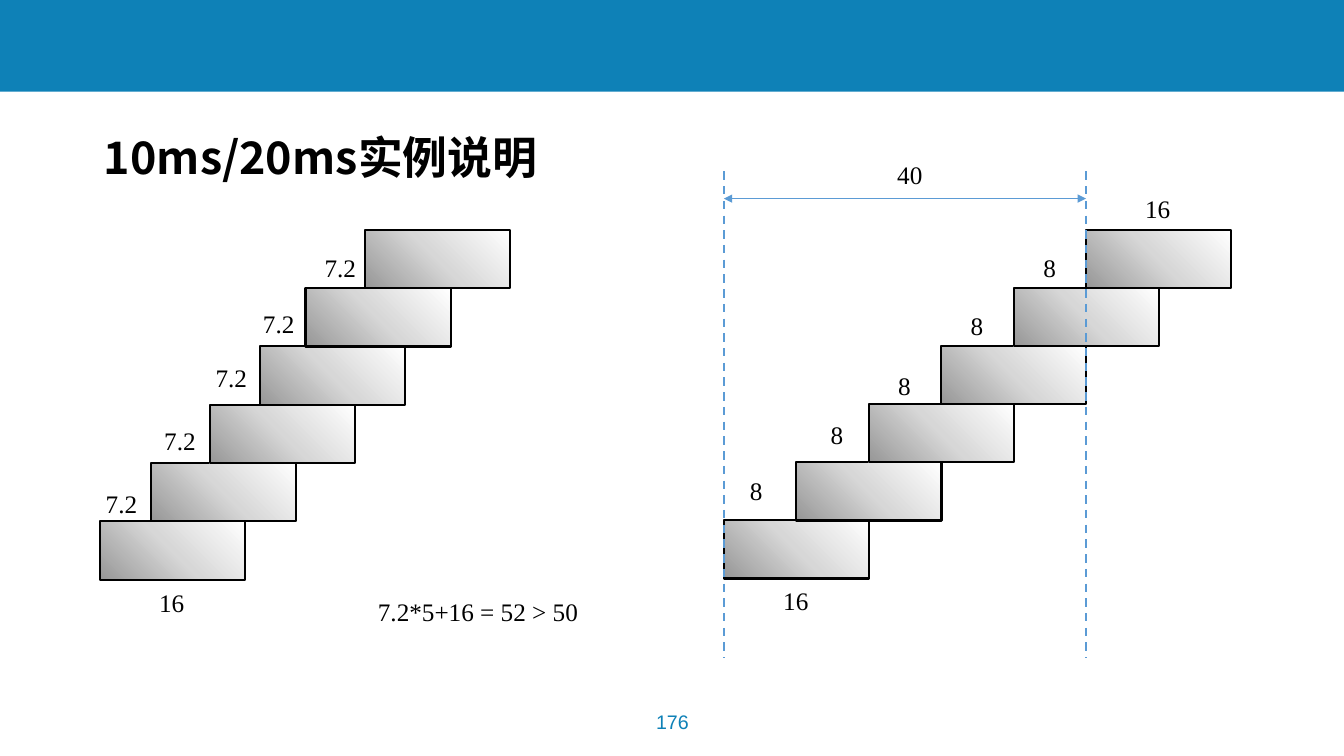
"""Draw two staircases of timing blocks; lengths are percent shares of the slide."""
from dataclasses import dataclass

import pptx
import pptx.dml.color
import pptx.enum.dml
import pptx.enum.shapes
import pptx.enum.text
import pptx.oxml
import pptx.oxml.ns
import pptx.util
from lxml import etree


@dataclass(frozen=True)
class Theme:
    width: float = 13.33
    height: float = 7.5
    banner: str = "0E81B7"
    ink: str = "000000"
    guide: str = "5B9BD5"
    shades: tuple = ((0, "979797"), (50, "D7D7D7"), (100, "FFFFFF"))
    title_font: str = "Noto Sans CJK SC"
    label_font: str = "Times New Roman"
    page_font: str = "Arial"
    title_size: int = 32
    label_size: int = 18
    page_size: int = 14
    block_width: float = 10.8
    block_height: float = 7.73
    label_height: float = 5.33


THEME = Theme()


def across(share):
    return pptx.util.Inches(THEME.width * share / 100)


def down(share):
    return pptx.util.Inches(THEME.height * share / 100)


def area(left, top, width, height):
    return across(left), down(top), across(width), down(height)


def rgb(code):
    return pptx.dml.color.RGBColor.from_string(code)


def style(paragraph, font, size, color, bold=False):
    paragraph.font.name = font
    paragraph.font.size = pptx.util.Pt(size)
    paragraph.font.color.rgb = rgb(color)
    paragraph.font.bold = bold


def add_rectangle(slide, left, top, width, height):
    rectangle = slide.shapes.add_shape(
        pptx.enum.shapes.MSO_SHAPE.RECTANGLE, *area(left, top, width, height))
    rectangle.shadow.inherit = False
    return rectangle


def add_banner(slide):
    banner = add_rectangle(slide, 0, 0, 100, 12.13)
    banner.fill.solid()
    banner.fill.fore_color.rgb = rgb(THEME.banner)
    banner.line.fill.background()


def add_title(slide, wording):
    title = slide.shapes.title
    title.left, title.top, title.width, title.height = area(6.98, 16.4, 34.81, 8.53)
    frame = title.text_frame
    frame.text = wording
    frame.word_wrap = False
    frame.auto_size = pptx.enum.text.MSO_AUTO_SIZE.NONE
    frame.vertical_anchor = pptx.enum.text.MSO_ANCHOR.MIDDLE
    heading = frame.paragraphs[0]
    heading.alignment = pptx.enum.text.PP_ALIGN.LEFT
    style(heading, THEME.title_font, THEME.title_size, THEME.ink, bold=True)
    east_asian = etree.SubElement(heading.runs[0].font._element, pptx.oxml.ns.qn("a:ea"))
    east_asian.set("typeface", THEME.title_font)


def add_label(slide, wording, left, top, width, wrap=False):
    label = slide.shapes.add_textbox(*area(left, top, width, THEME.label_height))
    label.text_frame.word_wrap = wrap
    label.text_frame.text = wording
    style(label.text_frame.paragraphs[0], THEME.label_font, THEME.label_size, THEME.ink)


def add_page_number(slide, number):
    page = slide.shapes.add_textbox(*area(45.61, 93.2, 8.85, 4.53))
    page.text_frame.word_wrap = True
    page.text_frame.text = number
    paragraph = page.text_frame.paragraphs[0]
    paragraph.alignment = pptx.enum.text.PP_ALIGN.CENTER
    style(paragraph, THEME.page_font, THEME.page_size, THEME.banner)


def shade_from_corner(block):
    stops = "".join(
        f'<a:gs pos="{share * 1000}"><a:srgbClr val="{color}"/></a:gs>'
        for share, color in THEME.shades)
    gradient = pptx.oxml.parse_xml(
        f'<a:gradFill {pptx.oxml.ns.nsdecls("a")} rotWithShape="1"><a:gsLst>{stops}</a:gsLst>'
        '<a:path path="circle"><a:fillToRect t="100000" r="100000"/></a:path></a:gradFill>')
    block.fill.background()
    properties = block._element.spPr
    properties.replace(properties.find(pptx.oxml.ns.qn("a:noFill")), gradient)


def add_staircase(slide, lefts, top, rise):
    for level, left in enumerate(lefts):
        block_top = top + (len(lefts) - 1 - level) * rise
        block = add_rectangle(slide, left, block_top, THEME.block_width, THEME.block_height)
        shade_from_corner(block)
        block.line.color.rgb = rgb(THEME.ink)
        block.line.width = pptx.util.Pt(1.5)


def add_step_labels(slide, wording, width, corners):
    for left, top in corners:
        add_label(slide, wording, left, top, width)


def add_line(slide, start, end, weight):
    line = slide.shapes.add_connector(
        pptx.enum.shapes.MSO_CONNECTOR.STRAIGHT,
        across(start[0]), down(start[1]), across(end[0]), down(end[1]))
    line.line.color.rgb = rgb(THEME.guide)
    line.line.width = pptx.util.Pt(weight)
    etree.SubElement(line._element.spPr, pptx.oxml.ns.qn("a:effectLst"))
    return line


def add_span(slide, left, right):
    for edge in (right, left):
        guide = add_line(slide, (edge, 22.67), (edge, 87.07), 1.5)
        guide.line.dash_style = pptx.enum.dml.MSO_LINE.DASH
    arrow = add_line(slide, (left, 26.27), (right, 26.27), 0.5)
    for end in ("a:headEnd", "a:tailEnd"):
        tip = etree.SubElement(arrow.line._get_or_add_ln(), pptx.oxml.ns.qn(end))
        tip.set("type", "triangle")


def main():
    deck = pptx.Presentation()
    deck.slide_width, deck.slide_height = across(100), down(100)
    slide = deck.slides.add_slide(deck.slide_layouts[5])
    add_banner(slide)
    add_page_number(slide, "176")
    add_title(slide, "10ms/20ms实例说明")

    even_lefts = [53.86 + step * 5.39 for step in range(6)]
    add_staircase(slide, even_lefts, 30.4, 7.68)
    add_step_labels(slide, "16", 3.45, [(57.54, 76.8), (84.47, 24.93)])
    add_step_labels(slide, "8", 2.48, [
        (55.06, 62.27), (61.07, 54.8), (66.09, 48.27), (71.49, 40.4), (76.89, 32.67)])
    add_span(slide, even_lefts[0], even_lefts[-1])
    add_label(slide, "40", 66.02, 20.4, 3.45)

    uneven_lefts = [7.43, 11.25, 15.6, 19.35, 22.73, 27.16]
    add_staircase(slide, uneven_lefts, 30.4, 7.71)
    add_label(slide, "16", 11.1, 77.07, 3.45)
    add_step_labels(slide, "7.2", 3.9, [
        (7.13, 63.87), (11.48, 55.6), (15.3, 47.33), (18.83, 40.13), (23.41, 32.67)])
    add_label(slide, "7.2*5+16 = 52 > 50", 27.38, 78.27, 24.38, wrap=True)
    deck.save("out.pptx")


if __name__ == "__main__":
    main()
